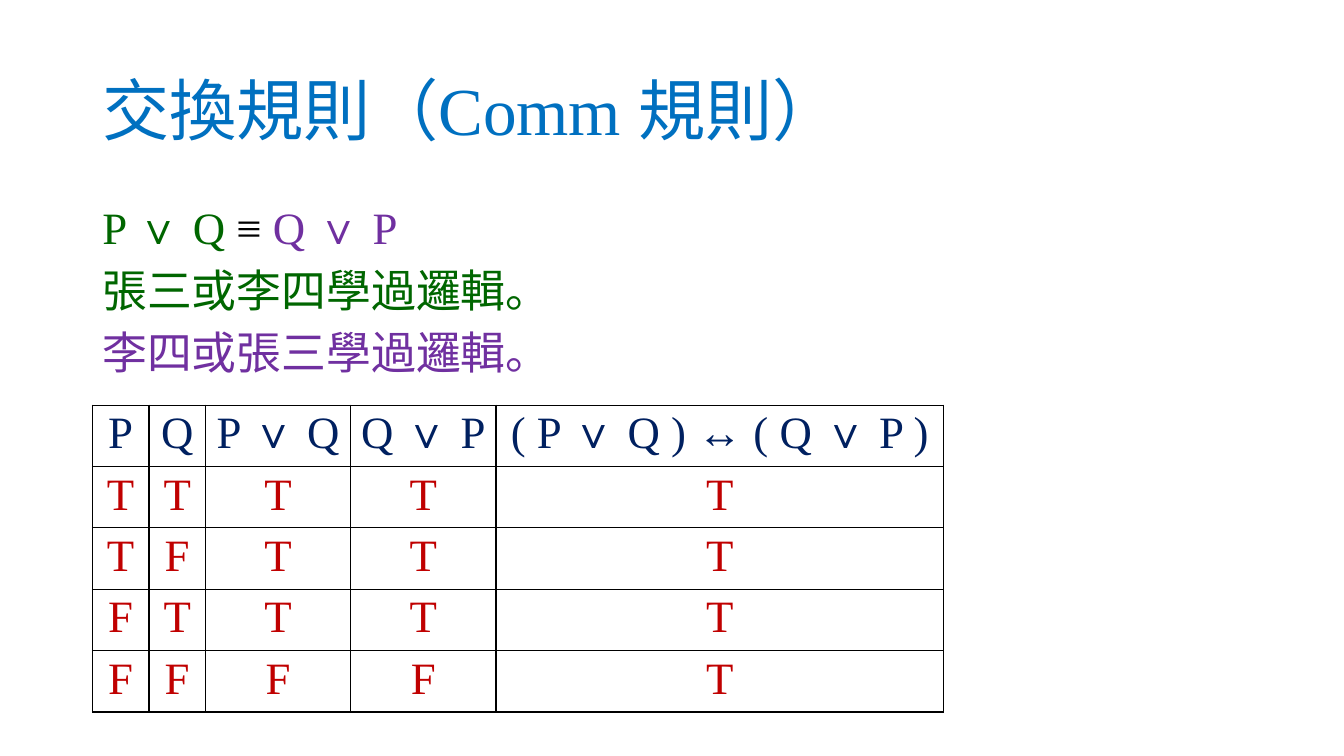
from lxml import etree
from pptx import Presentation
from pptx.dml.color import RGBColor
from pptx.enum.text import MSO_ANCHOR, PP_ALIGN
from pptx.oxml.ns import qn
from pptx.util import Pt

MIDDLE = MSO_ANCHOR.MIDDLE
CENTER = PP_ALIGN.CENTER
BLUE = RGBColor(0x00, 0x70, 0xC0)
GREEN = RGBColor(0x00, 0x66, 0x00)
BLACK = RGBColor(0x00, 0x00, 0x00)
PURPLE = RGBColor(0x70, 0x30, 0xA0)
NAVY = RGBColor(0x00, 0x20, 0x60)
RED = RGBColor(0xC0, 0x00, 0x00)
SERIF = "Times New Roman"
HAN = "Noto Sans CJK SC"


def write(para, text, color, size=32, font=SERIF):
    run = para.add_run()
    run.text = text
    run.font.size = Pt(size)
    run.font.color.rgb = color
    run.font.name = font
    etree.SubElement(run.font._element, qn("a:ea"), typeface=HAN)


def rule(cell):
    props = cell._tc.get_or_add_tcPr()
    for side in ("lnL", "lnR", "lnT", "lnB"):
        line = etree.SubElement(props, qn("a:" + side), w=str(Pt(1)))
        fill = etree.SubElement(line, qn("a:solidFill"))
        etree.SubElement(fill, qn("a:srgbClr"), val=str(BLACK))


deck = Presentation()
deck.slide_width = Pt(960)
deck.slide_height = Pt(540)
slide = deck.slides.add_slide(deck.slide_layouts[6])

title = slide.shapes.add_textbox(Pt(66), Pt(28.8), Pt(828), Pt(104.4)).text_frame
title.word_wrap = True
title.vertical_anchor = MIDDLE
title.paragraphs[0].line_spacing = 0.9
write(title.paragraphs[0], "交換規則（Comm 規則）", BLUE, size=48)

body = slide.shapes.add_textbox(Pt(66), Pt(143.8), Pt(408), Pt(342.6)).text_frame
body.word_wrap = True
lines = [
    [("P ∨ Q ", GREEN, SERIF), ("≡ ", BLACK, SERIF), ("Q ∨ P", PURPLE, SERIF)],
    [("張三或李四學過邏輯。", GREEN, HAN)],
    [("李四或張三學過邏輯。", PURPLE, HAN)],
]
for i, parts in enumerate(lines):
    para = body.add_paragraph() if i else body.paragraphs[0]
    para.line_spacing = 0.9
    para.space_before = Pt(10 if i else 0)
    for text, color, font in parts:
        write(para, text, color, font=font)

heads = ["P", "Q", "P ∨ Q", "Q ∨ P", "( P ∨ Q ) ↔︎ ( Q ∨ P )"]
rows = [heads, "TTTTT", "TFTTT", "FTTTT", "FFFFT"]
widths = [40.4, 40.4, 103.8, 103.8, 319.6]
high = 42.8
table = slide.shapes.add_table(
    len(rows), len(heads), Pt(66), Pt(289.4), Pt(sum(widths)), Pt(high * len(rows))
).table
table.first_row = False
table.horz_banding = False
for col, width in zip(table.columns, widths):
    col.width = Pt(width)
for r, row in enumerate(rows):
    table.rows[r].height = Pt(high)
    for c, text in enumerate(row):
        cell = table.cell(r, c)
        rule(cell)
        cell.fill.background()
        cell.margin_left = cell.margin_right = Pt(5.4)
        cell.margin_top = cell.margin_bottom = Pt(2.7)
        para = cell.text_frame.paragraphs[0]
        para.alignment = CENTER
        write(para, text, RED if r else NAVY)

deck.save("out.pptx")
